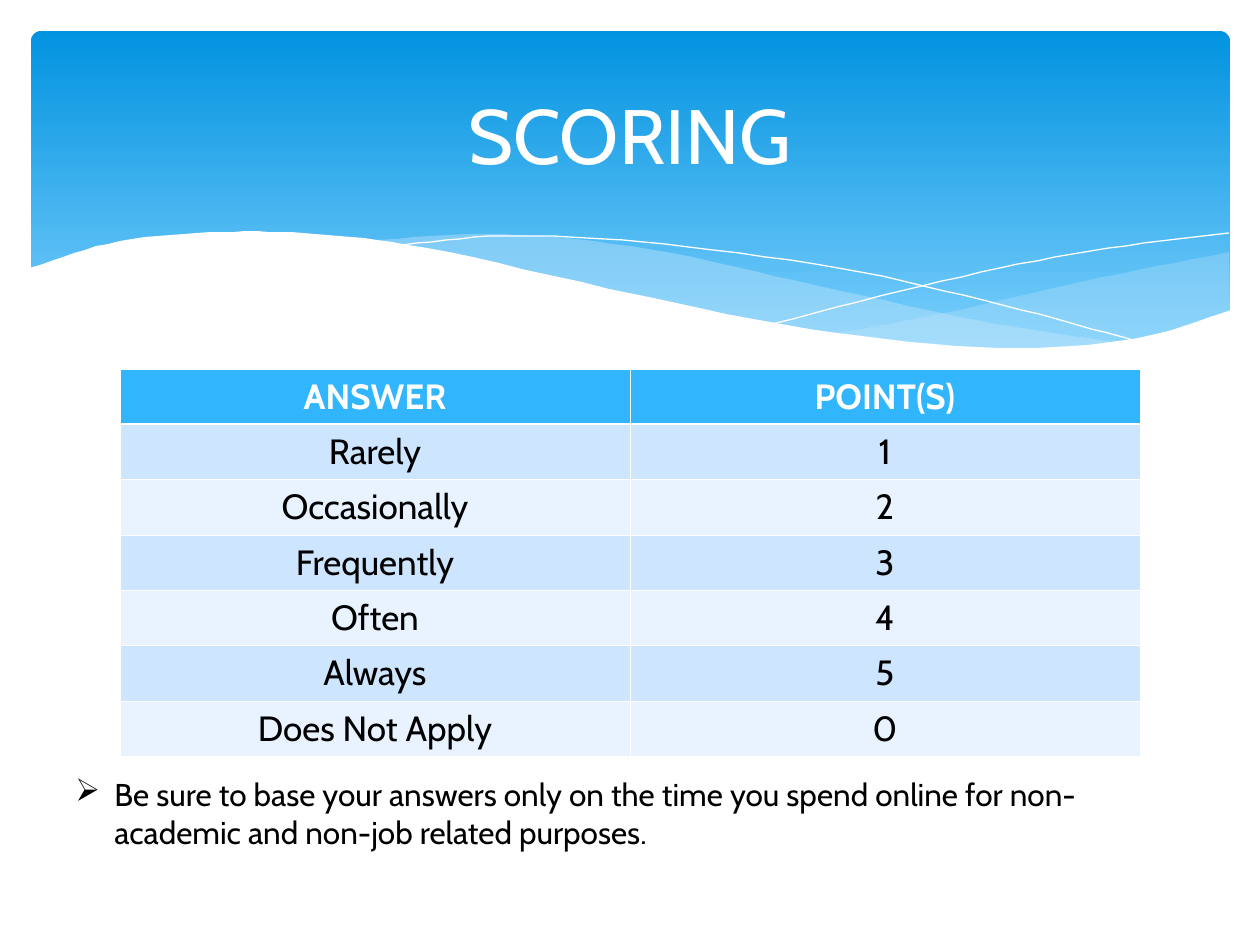
from dataclasses import dataclass
from typing import Optional

import pptx
import pptx.dml.color
import pptx.enum.shapes
import pptx.enum.text
import pptx.oxml
import pptx.oxml.ns
import pptx.util

RGBColor = pptx.dml.color.RGBColor
ALIGN = pptx.enum.text.PP_ALIGN
ANCHOR = pptx.enum.text.MSO_ANCHOR
Point = tuple[float, float]

WHITE = RGBColor(0xFF, 0xFF, 0xFF)
BLACK = RGBColor(0x00, 0x00, 0x00)
BANNER_TOP = RGBColor(0x02, 0x93, 0xE0)
BANNER_BOTTOM = RGBColor(0x83, 0xD3, 0xFE)
WAVE_BLUE = RGBColor(0xC6, 0xE7, 0xFC)
HEADER_BLUE = RGBColor(0x31, 0xB6, 0xFD)
ROW_BANDS = (RGBColor(0xCD, 0xE5, 0xFE), RGBColor(0xE8, 0xF3, 0xFF))

FONT = "Cabin"
EMU_PER_PX = 914400 / 126
ROW_HEIGHT = 55
CURVE_STEPS = 8
THIN, THICK = 0.45, 1.47


@dataclass(frozen=True)
class Wave:
    edges: tuple[tuple[Point, ...], ...]  # each edge is a smooth curve through its knots
    fill: Optional[RGBColor] = None
    opacity: int = 100  # percent


WAVES = (
    # Translucent swell on the right
    Wave((((1229, 252), (1085, 281), (949, 312), (833, 334)),
          ((833, 334), (939, 346), (1052, 349), (1140, 339), (1230, 311))),
         WAVE_BLUE, 29),
    # Translucent swell in the middle
    Wave((((1125, 344), (976, 320), (793, 280), (648, 249), (503, 234), (360, 241)),
          ((360, 241), (566, 280), (757, 321), (910, 345), (1031, 352), (1125, 344))),
         WAVE_BLUE, 40),
    # Crossing hairlines
    Wave((((389, 246), (505, 236), (643, 242), (838, 268), (1002, 305), (1143, 343)),)),
    Wave((((772, 324), (942, 281), (1091, 251), (1229, 233)),)),
    # White wave that cuts the banner's lower edge
    Wave((((1231, 310), (1133, 339), (999, 348), (815, 330), (634, 294),
           (427, 248), (315, 234), (222, 232), (120, 241), (29, 268)),
          ((29, 415), (1231, 415))),
         WHITE),
)

SCORES = (
    ("ANSWER", "POINT(S)"),
    ("Rarely", "1"),
    ("Occasionally", "2"),
    ("Frequently", "3"),
    ("Often", "4"),
    ("Always", "5"),
    ("Does Not Apply", "0"),
)


def px(length: int) -> pptx.util.Emu:
    return pptx.util.Emu(round(length * EMU_PER_PX))


def box(*lengths: int) -> list[pptx.util.Emu]:
    return [px(length) for length in lengths]


def child(parent, tag: str, **attributes: str):
    element = pptx.oxml.parse_xml(f'<{tag} {pptx.oxml.ns.nsdecls("a")}/>')
    for key, value in attributes.items():
        element.set(key, value)
    parent.append(element)
    return element


def mirror(end: Point, neighbour: Point) -> Point:
    return 2 * end[0] - neighbour[0], 2 * end[1] - neighbour[1]


def smooth_curve(knots: tuple[Point, ...]) -> list[Point]:
    """Sample a Catmull-Rom spline through the knots."""
    padded = [mirror(knots[0], knots[1]), *knots, mirror(knots[-1], knots[-2])]
    points = [knots[0]]
    for window in zip(padded, padded[1:], padded[2:], padded[3:]):
        for step in range(1, CURVE_STEPS + 1):
            t = step / CURVE_STEPS
            points.append(tuple(
                b + t * ((c - a) + t * ((2 * a - 5 * b + 4 * c - d)
                                        + t * (3 * b - a - 3 * c + d))) / 2
                for a, b, c, d in zip(*window)))
    return points


def write(frame, text: str, *, size: int, color: RGBColor, bold: bool = False,
          align=ALIGN.LEFT, anchor=ANCHOR.TOP, bullet: str = "", indent: int = 0) -> None:
    frame.word_wrap = True
    frame.vertical_anchor = anchor
    paragraph = frame.paragraphs[0]
    paragraph.alignment = align
    if bullet:
        properties = paragraph._p.get_or_add_pPr()
        properties.set("marL", str(px(indent)))
        properties.set("indent", str(-px(indent)))
        child(child(properties, "a:buClr"), "a:srgbClr", val=str(color))
        child(properties, "a:buChar", char=bullet)
    run = paragraph.add_run()
    run.text = text
    run.font.name = FONT
    run.font.size = pptx.util.Pt(size)
    run.font.bold = bold
    run.font.color.rgb = color


def draw_banner(shapes) -> None:
    banner = shapes.add_shape(pptx.enum.shapes.MSO_SHAPE.ROUNDED_RECTANGLE,
                              *box(31, 31, 1199, 340))
    banner.adjustments[0] = 0.03
    banner.shadow.inherit = False
    banner.line.fill.background()
    banner.fill.gradient()
    banner.fill.gradient_angle = 270
    for stop, color, position in zip(banner.fill.gradient_stops,
                                     (BANNER_TOP, BANNER_BOTTOM), (0, 1)):
        stop.color.rgb = color
        stop.position = position


def draw_wave(shapes, wave: Wave) -> None:
    start, *rest = [point for edge in wave.edges for point in smooth_curve(edge)]
    builder = shapes.build_freeform(*start, scale=EMU_PER_PX)
    builder.add_line_segments(rest, close=wave.fill is not None)
    shape = builder.convert_to_shape()
    shape.shadow.inherit = False
    if wave.fill is None:
        shape.fill.background()
        shape.line.color.rgb = WHITE
        shape.line.width = pptx.util.Pt(0)
        return
    shape.line.fill.background()
    shape.fill.solid()
    shape.fill.fore_color.rgb = wave.fill
    if wave.opacity < 100:
        color = shape._element.spPr.find(".//" + pptx.oxml.ns.qn("a:srgbClr"))
        child(color, "a:alpha", val=str(wave.opacity * 1000))


def set_borders(cell, top: float, bottom: float) -> None:
    properties = cell._tc.get_or_add_tcPr()
    sides = (("a:lnL", THIN), ("a:lnR", THIN), ("a:lnT", top), ("a:lnB", bottom))
    for place, (tag, width) in enumerate(sides):
        border = child(properties, tag, w=str(pptx.util.Pt(width)))
        child(child(border, "a:solidFill"), "a:srgbClr", val=str(WHITE))
        properties.insert(place, border)


def draw_scores(shapes) -> None:
    table = shapes.add_table(len(SCORES), 2,
                             *box(120, 369, 1020, ROW_HEIGHT * len(SCORES))).table
    for i, row in enumerate(SCORES):
        header = i == 0
        table.rows[i].height = px(ROW_HEIGHT)
        for j, text in enumerate(row):
            cell = table.cell(i, j)
            cell.fill.solid()
            cell.fill.fore_color.rgb = HEADER_BLUE if header else ROW_BANDS[(i - 1) % 2]
            set_borders(cell, top=THICK if i == 1 else THIN, bottom=THICK if header else THIN)
            write(cell.text_frame, text, size=20, color=WHITE if header else BLACK,
                  bold=header, align=ALIGN.CENTER)


def main() -> None:
    deck = pptx.Presentation()
    deck.slide_width, deck.slide_height = box(1260, 945)
    shapes = deck.slides.add_slide(deck.slide_layouts[6]).shapes

    # Banner, waves and scoring table
    draw_banner(shapes)
    for wave in WAVES:
        draw_wave(shapes, wave)
    draw_scores(shapes)

    # Title and advice
    title = shapes.add_textbox(*box(63, 47, 1134, 173))
    write(title.text_frame, "SCORING", size=44, color=WHITE,
          align=ALIGN.CENTER, anchor=ANCHOR.MIDDLE)
    advice = shapes.add_textbox(*box(63, 769, 1134, 88))
    write(advice.text_frame,
          "Be sure to base your answers only on the time you spend online for "
          "non-academic and non-job related purposes.",
          size=18, color=BLACK, bullet="➢", indent=39)

    deck.save("out.pptx")


if __name__ == "__main__":
    main()
